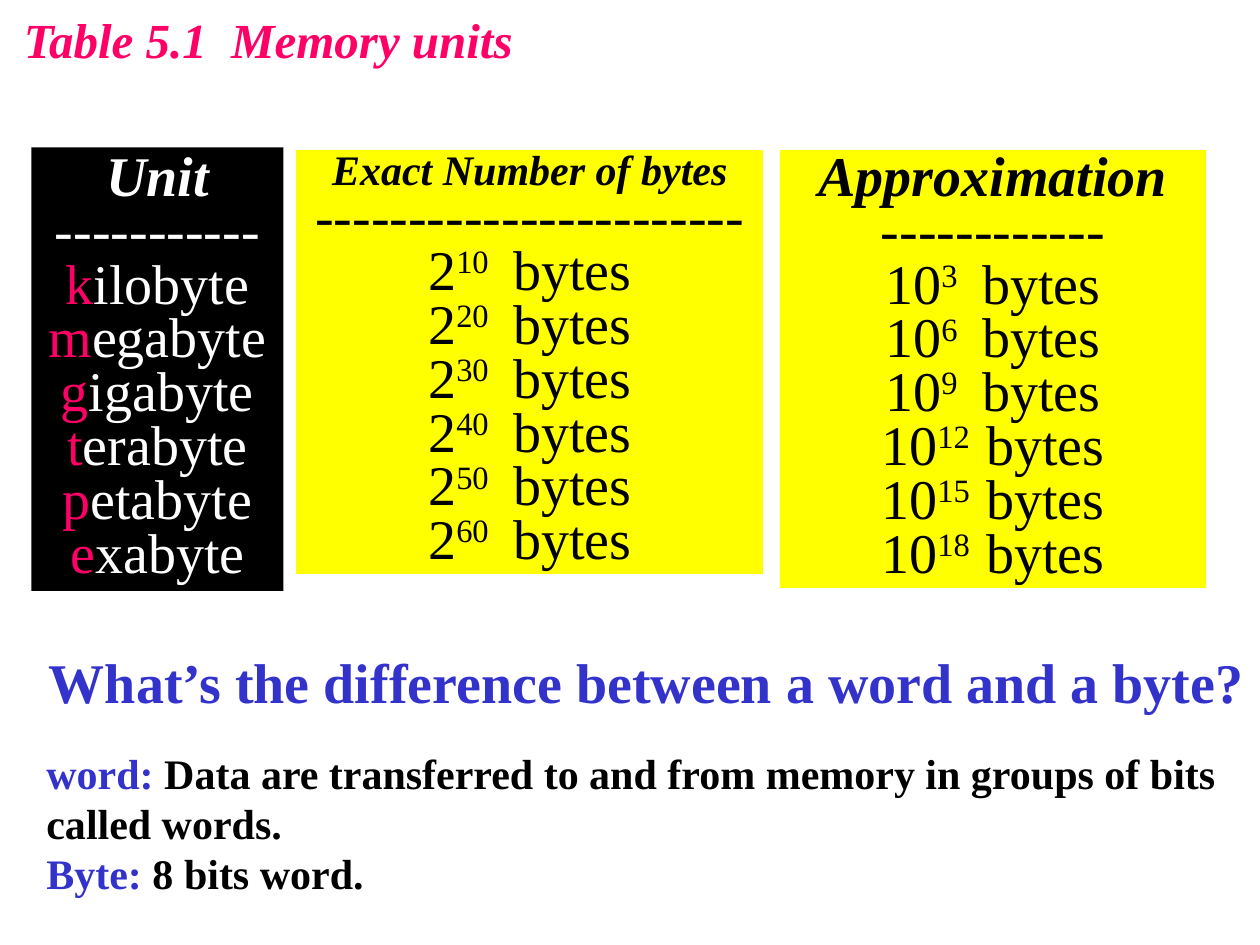
from pptx import Presentation
from pptx.dml.color import RGBColor
from pptx.enum.shapes import MSO_SHAPE as SHAPE
from pptx.enum.text import MSO_ANCHOR as ANCHOR, PP_ALIGN as ALIGN
from pptx.util import Inches, Pt

PINK = RGBColor(0xFF, 0x00, 0x66)
BLUE = RGBColor(0x33, 0x33, 0xCC)
YELLOW = RGBColor(0xFF, 0xFF, 0x00)
BLACK = RGBColor(0x00, 0x00, 0x00)
WHITE = RGBColor(0xFF, 0xFF, 0xFF)
FONT = "Times New Roman"
SMALL_SPACE = 4.65

UNITS = ["kilobyte", "megabyte", "gigabyte", "terabyte", "petabyte", "exabyte"]
EXACT_POWERS = [10 * (i + 1) for i in range(len(UNITS))]
DECIMAL_POWERS = [3 * (i + 1) for i in range(len(UNITS))]

TITLE = [[("Table 5.1  Memory units", PINK)]]
QUESTION = [[("What’s the difference between a word and a byte?", BLUE)]]
ANSWERS = [
    [("word: ", BLUE),
     ("Data are transferred to and from memory in groups of bits called words.", BLACK)],
    [("Byte: ", BLUE), ("8 bits word.", BLACK)],
]


def add_run(p, text, color, size=32, bold=False, italic=False, raised=False, spacing=0):
    r = p.add_run()
    r.text = text
    font = r.font
    font.name, font.size, font.bold, font.italic = FONT, Pt(size), bold, italic
    font.color.rgb = color
    rPr = r._r.get_or_add_rPr()
    if raised:
        rPr.set("baseline", "30000")
    if spacing:
        rPr.set("spc", str(round(spacing * 100)))


def add_text(s, box, paragraphs, size, italic=False, wrap=True):
    tf = s.shapes.add_textbox(*map(Inches, box)).text_frame
    tf.word_wrap = wrap
    for i, runs in enumerate(paragraphs):
        p = tf.paragraphs[0] if i == 0 else tf.add_paragraph()
        for text, color in runs:
            add_run(p, text, color, size, bold=True, italic=italic)


def add_column(s, box, fill, color, heading, heading_size, dashes, outlined=True):
    sp = s.shapes.add_shape(SHAPE.RECTANGLE, *map(Inches, box))
    sp.shadow.inherit = False
    sp.fill.solid()
    sp.fill.fore_color.rgb = fill
    if outlined:
        sp.line.color.rgb = WHITE
        sp.line.width = Pt(3)
    else:
        sp.line.fill.background()
    tf = sp.text_frame
    tf.word_wrap = True
    tf.vertical_anchor = ANCHOR.TOP
    p = tf.paragraphs[0]
    p.alignment, p.line_spacing = ALIGN.CENTER, 0.8
    add_run(p, heading, color, heading_size, bold=True, italic=True)
    p.add_line_break()
    add_run(p, "-" * dashes, color)
    return tf


def add_row(tf):
    p = tf.add_paragraph()
    p.alignment, p.line_spacing = ALIGN.CENTER, 0.8
    return p


def add_powers(tf, base, powers, gaps):
    for power, gap in zip(powers, gaps):
        p = add_row(tf)
        add_run(p, base, BLACK)
        add_run(p, str(power), BLACK, raised=True)
        add_run(p, " ", BLACK, raised=True, spacing=(gap - 1) * SMALL_SPACE)
        add_run(p, "bytes", BLACK)


prs = Presentation()
prs.slide_width, prs.slide_height = Inches(10), Inches(7.5)
s = prs.slides.add_slide(prs.slide_layouts[6])

add_text(s, (0.09, 0.03, 4.11, 0.57), TITLE, 28, italic=True, wrap=False)

tf = add_column(s, (0.25, 1.17, 2, 3.52), BLACK, WHITE, "Unit", 32, 11, outlined=False)
for unit in UNITS:
    p = add_row(tf)
    add_run(p, unit[0], PINK)
    add_run(p, unit[1:], WHITE)

tf = add_column(s, (2.33, 1.17, 3.75, 3.41), YELLOW, BLACK, "Exact Number of bytes", 24, 23)
add_powers(tf, "2", EXACT_POWERS, [3] * len(UNITS))

tf = add_column(s, (6.17, 1.17, 3.42, 3.52), YELLOW, BLACK, "Approximation", 32, 12)
add_powers(tf, "10", DECIMAL_POWERS, [4 - len(str(n)) for n in DECIMAL_POWERS])

add_text(s, (0.27, 5.88, 9.53, 1.3), ANSWERS, 24)
add_text(s, (0.29, 5.09, 9.71, 0.64), QUESTION, 32, wrap=False)

prs.save("out.pptx")
